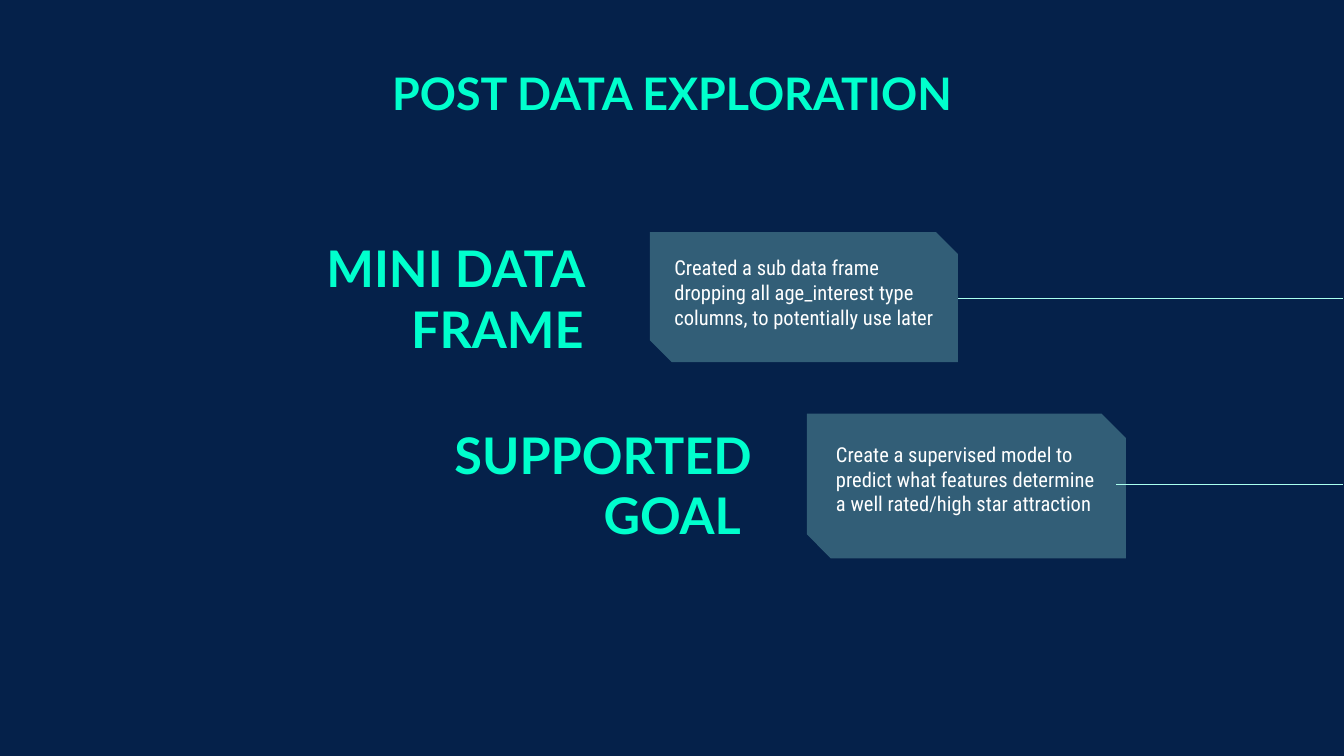
"""Build the post data exploration slide."""
from lxml import etree
from pptx import Presentation
from pptx.dml.color import RGBColor
from pptx.enum import shapes, text
from pptx.oxml import ns
from pptx.util import Pt

NAVY = RGBColor(0x05, 0x21, 0x4A)
MINT = RGBColor(0x00, 0xFF, 0xCD)
PALE = RGBColor(0xAA, 0xFF, 0xEE)
WHITE = RGBColor(0xFF, 0xFF, 0xFF)
HEADING_FONT = "Lato"
BODY_FONT = "Roboto Condensed"
CARD_OPACITY = 28000
INSET = 7.2
LINE_END = 719.3

TITLE = ("POST DATA EXPLORATION", (154.8, 28.1, 410.4, 74.2))
ITEMS = [
    {
        "heading": "MINI DATA FRAME",
        "body": "Created a sub data frame dropping all age_interest type columns, "
                "to potentially use later",
        "heading_box": (154.8, 129.6, 164.9, 59.8),
        "card_box": (348.2, 124.4, 164.9, 69.6),
        "body_box": (354.2, 129.6, 154.1, 48.2),
        "line": (513.4, 159.8),
    },
    {
        "heading": "SUPPORTED GOAL ",
        "body": "Create a supervised model to predict what features determine "
                "a well rated/high star attraction",
        "heading_box": (231.1, 229.7, 178.6, 59.8),
        "card_box": (432.2, 221.6, 170.9, 77.6),
        "body_box": (440.8, 229.7, 154.1, 48.2),
        "line": (597.8, 259.4),
    },
]


def points(values):
    return [Pt(value) for value in values]


def add_text(slide, content, box, font, size, color, alignment,
             anchor=text.MSO_ANCHOR.TOP, bold=False):
    frame = slide.shapes.add_textbox(*points(box)).text_frame
    frame.word_wrap = True
    frame.vertical_anchor = anchor
    frame.margin_left = frame.margin_right = Pt(INSET)
    frame.margin_top = frame.margin_bottom = Pt(INSET)
    paragraph = frame.paragraphs[0]
    paragraph.text = content
    paragraph.alignment = alignment
    paragraph.font.name = font
    paragraph.font.size = Pt(size)
    paragraph.font.bold = bold
    paragraph.font.color.rgb = color


def add_line(slide, start, y):
    line = slide.shapes.add_connector(
        shapes.MSO_CONNECTOR.STRAIGHT, *points((LINE_END, y, start, y)))
    line.line.color.rgb = PALE
    line.line.width = Pt(0.75)
    etree.SubElement(line._element.spPr, ns.qn("a:effectLst"))


def add_card(slide, box):
    card = slide.shapes.add_shape(
        shapes.MSO_SHAPE.SNIP_2_DIAG_RECTANGLE, *points(box))
    card.adjustments[0] = 0
    card.adjustments[1] = 0.167
    card.shadow.inherit = False
    card.line.fill.background()
    card.fill.solid()
    card.fill.fore_color.rgb = PALE
    color = card._element.spPr.find(ns.qn("a:solidFill"))[0]
    etree.SubElement(color, ns.qn("a:alpha"), val=str(CARD_OPACITY))


def main():
    presentation = Presentation()
    presentation.slide_width, presentation.slide_height = points((720, 405))
    slide = presentation.slides.add_slide(presentation.slide_layouts[6])
    slide.background.fill.solid()
    slide.background.fill.fore_color.rgb = NAVY

    add_text(slide, *TITLE, HEADING_FONT, 24, MINT, text.PP_ALIGN.CENTER, bold=True)
    for item in ITEMS:
        add_line(slide, *item["line"])
        add_text(slide, item["heading"], item["heading_box"], HEADING_FONT, 27, MINT,
                 text.PP_ALIGN.RIGHT, text.MSO_ANCHOR.MIDDLE, True)
        add_card(slide, item["card_box"])
        add_text(slide, item["body"], item["body_box"], BODY_FONT, 11, WHITE,
                 text.PP_ALIGN.LEFT)
    presentation.save("out.pptx")


if __name__ == "__main__":
    main()
